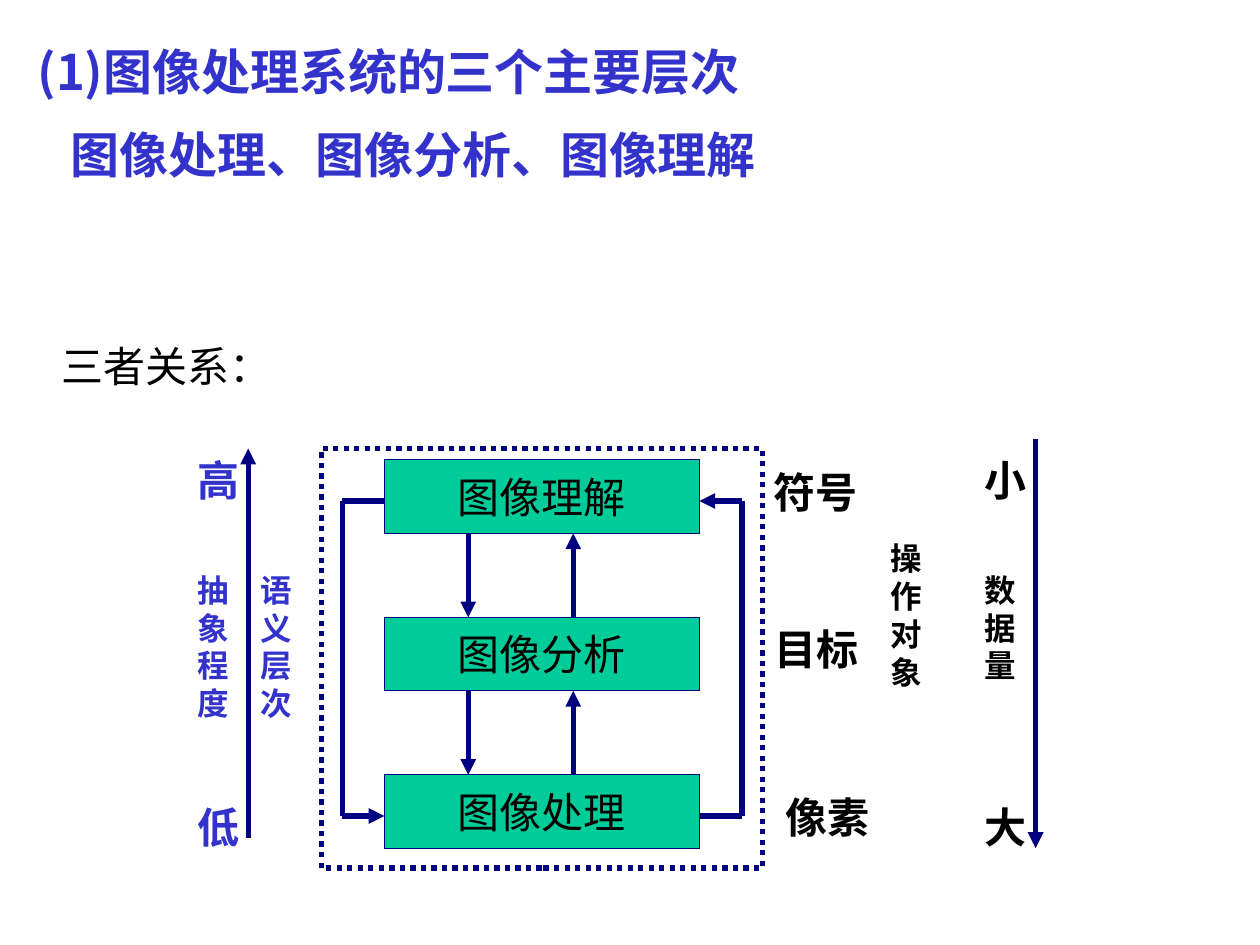
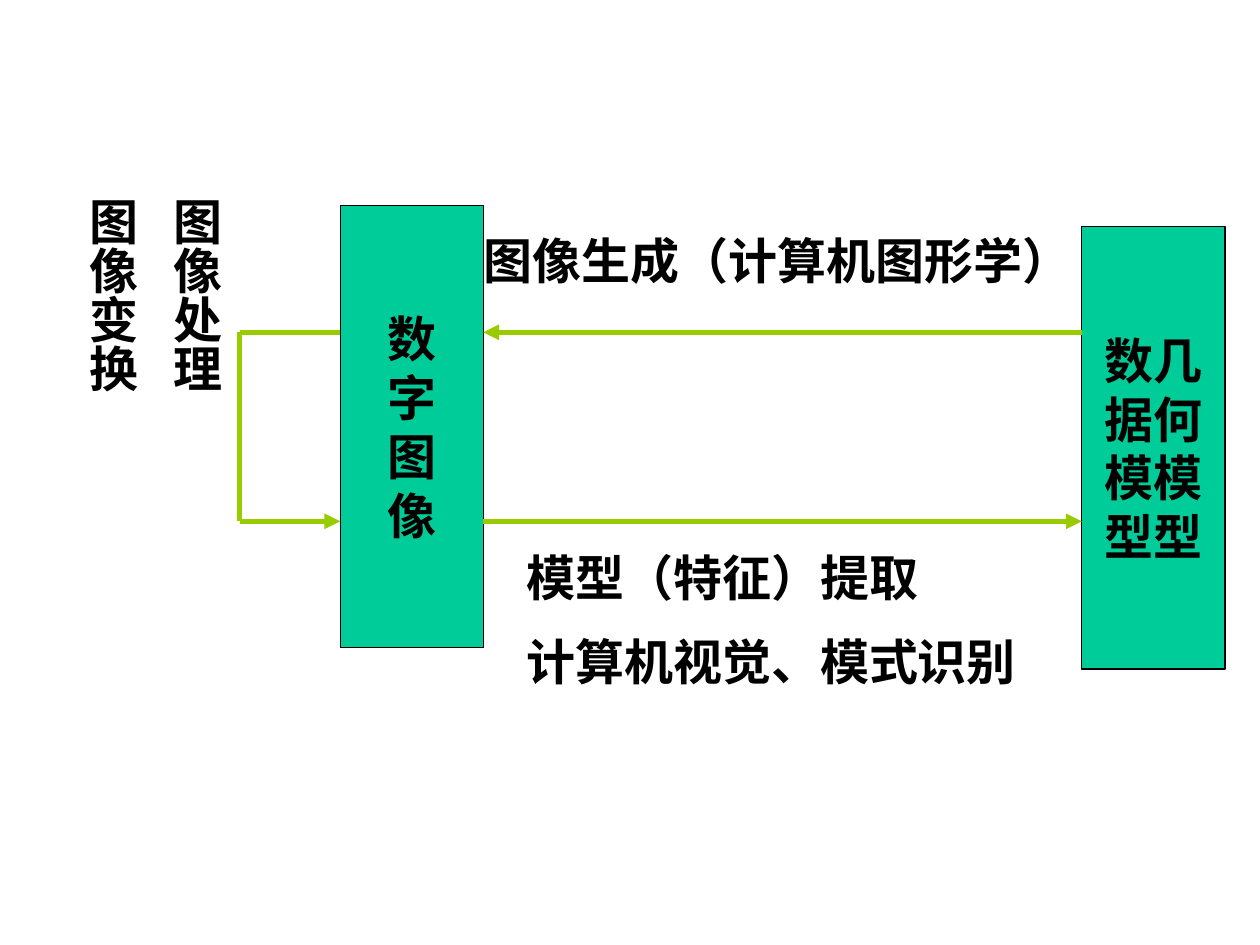
from lxml.etree import SubElement
from pptx import Presentation
from pptx.dml.color import RGBColor
from pptx.enum.dml import MSO_LINE
from pptx.enum.shapes import MSO_CONNECTOR, MSO_SHAPE
from pptx.enum.text import MSO_ANCHOR, PP_ALIGN
from pptx.oxml.ns import qn
from pptx.util import Pt

FONT = "Noto Sans CJK JP"
COLORS = {
    "heading": "3333CC",
    "text": "000000",
    "box": "00CC99",
    "navy": "000080",
    "flow": "99CC00",
}


def rgb(name):
    """Return the palette colour with this name."""
    return RGBColor.from_string(COLORS[name])


def write(frame, lines, size, color="text", bold=True, align=None, gap=0.5):
    """Write lines as paragraphs, spaced by a share of the font size."""
    for index, line in enumerate(lines):
        paragraph = frame.paragraphs[0] if index == 0 else frame.add_paragraph()
        paragraph.text = line
        paragraph.alignment = align
        if index and gap:
            paragraph.space_before = Pt(size * gap)
        font = paragraph.font
        font.name, font.size, font.bold = FONT, Pt(size), bold
        font.color.rgb = rgb(color)
        defaults = paragraph._p.pPr.find(qn("a:defRPr"))
        SubElement(defaults, qn("a:ea")).set("typeface", FONT)


def label(slide, box, lines, size, **style):
    """Add a wrapping text box and return its text frame."""
    frame = slide.shapes.add_textbox(*map(Pt, box)).text_frame
    frame.word_wrap = True
    write(frame, lines, size, **style)
    return frame


def rectangle(slide, box, line, width, fill=None):
    """Add a plain rectangle, hollow unless a fill is named."""
    shape = slide.shapes.add_shape(MSO_SHAPE.RECTANGLE, *map(Pt, box))
    shape.shadow.inherit = False
    if fill:
        shape.fill.solid()
        shape.fill.fore_color.rgb = rgb(fill)
    else:
        shape.fill.background()
    shape.line.color.rgb = rgb(line)
    shape.line.width = Pt(width)
    return shape


def node(slide, box, lines, size, line, bold):
    """Add a green box with centred lines."""
    frame = rectangle(slide, box, line, 0.75, "box").text_frame
    frame.word_wrap = False
    frame.vertical_anchor = MSO_ANCHOR.MIDDLE
    write(frame, lines, size, bold=bold, align=PP_ALIGN.CENTER, gap=0)


def route(slide, points, color):
    """Join points by straight lines, with an arrowhead on the last."""
    for index, (start, end) in enumerate(zip(points, points[1:])):
        line = slide.shapes.add_connector(
            MSO_CONNECTOR.STRAIGHT, *map(Pt, (*start, *end)))
        line.line.color.rgb = rgb(color)
        line.line.width = Pt(3)
        if index == len(points) - 2:
            SubElement(line.line._get_or_add_ln(), qn("a:tailEnd")).set("type", "triangle")
        SubElement(line._element.spPr, qn("a:effectLst"))


def heading(slide, left, top, width):
    """Write the two heading lines and the lead-in to the diagram."""
    frame = label(
        slide, (left, top, width, 91.4),
        ["(1)图像处理系统的三个主要层次", "图像处理、图像分析、图像理解"],
        28, color="heading")
    frame.paragraphs[1]._p.pPr.set("marL", str(Pt(19)))
    label(slide, (left + 13.7, top + 170.6, width - 6, 36), ["三者关系："], 24, bold=False)


def level_stack(slide, left, top, width, height):
    """Draw the dotted frame with three linked levels and their objects."""
    box_left, box_width, box_height, pitch = left + 36, 180, 42, 90
    first = top + 6.5
    box_right = box_left + box_width
    for row, level in enumerate(["图像理解", "图像分析", "图像处理"]):
        node(slide, (box_left, first + row * pitch, box_width, box_height),
             [level], 24, "navy", False)
    frame = rectangle(slide, (left, top, width, height), "navy", 3)
    frame.line.dash_style = MSO_LINE.ROUND_DOT

    for row in range(2):
        upper = first + row * pitch + box_height
        lower = first + (row + 1) * pitch
        route(slide, [(left + 84, upper), (left + 84, lower)], "navy")
        route(slide, [(left + 144, lower), (left + 144, upper)], "navy")

    high, low = top + 30, top + 210
    outer_left, outer_right = left + 12, left + width - 11.6
    route(slide, [(box_right, low), (outer_right, low),
                  (outer_right, high), (box_right, high)], "navy")
    route(slide, [(box_left, high), (outer_left, high),
                  (outer_left, low), (box_left, low)], "navy")

    edge = left + width
    for operand, shift, drop in [("符号", -0.4, 6.5), ("目标", 0, 96.5), ("像素", 6.2, 192.2)]:
        label(slide, (edge + shift, top + drop, 72, 36), [operand], 24)
    label(slide, (edge + 66, top + 48.3, 36, 93.6), ["操作对象"], 18)


def scale(slide, left, top, ends, measure, color, arrow):
    """Draw a vertical scale: end labels, measure and arrow from start to end."""
    for end, drop in zip(ends, (0, 198)):
        label(slide, (left, top + drop, 36, 36), [end], 24, color=color)
    label(slide, (left, top + 66.3, 36, 93.6), [measure], 18, color=color)
    route(slide, [(left + 36, top + drop) for drop in arrow], "navy")


def levels_slide(slide):
    """Build the slide on the three levels of image processing."""
    heading(slide, 14.4, 20.2, 684)
    top = 256.3
    level_stack(slide, 183.6, top, 252, 239.8)
    scale(slide, 105.8, top, "高低", "抽象程度", "heading", (222.5, 0))
    label(slide, (141.8, top + 66.3, 36, 93.6), ["语义层次"], 18, color="heading")
    scale(slide, 555.8, top, "小大", "数据量", "text", (-5.7, 228.3))


def exchange(slide, left, top, width):
    """Draw image and model boxes with the flows between them."""
    box_width, box_height = 81.8, 252.7
    model_left = left + width - box_width
    image_right = left + box_width
    node(slide, (left, top, box_width, box_height), "数字图像", 28, "text", True)
    node(slide, (model_left, top + 12.2, box_width, box_height),
         ["数几", "据何", "模模", "型型"], 28, "text", True)

    upper, lower, loop = top + 72.5, top + 180.5, left - 57.4
    route(slide, [(model_left, upper), (image_right, upper)], "flow")
    route(slide, [(image_right, lower), (model_left, lower)], "flow")
    route(slide, [(left, upper), (loop, upper), (loop, lower), (left, lower)], "flow")

    label(slide, (left + 75, top + 10.8, 357, 41), ["图像生成（计算机图形学）"], 28)
    label(slide, (left + 99.4, top + 192.2, 344, 91.4),
          ["模型（特征）提取", "计算机视觉、模式识别"], 28)
    columns = label(slide, (left - 160.6, top - 11.6, 98.6, 300),
                    ["图像处理", "图像变换"], 28)
    columns._txBody.bodyPr.set("vert", "eaVert")


def exchange_slide(slide):
    """Build the slide on the relation of images and models."""
    exchange(slide, 194.4, 117.4, 505.6)


def main():
    """Build and save the presentation."""
    deck = Presentation()
    deck.slide_width, deck.slide_height = Pt(720), Pt(540)
    for build in (levels_slide, exchange_slide):
        build(deck.slides.add_slide(deck.slide_layouts[6]))
    deck.save("out.pptx")


if __name__ == "__main__":
    main()
